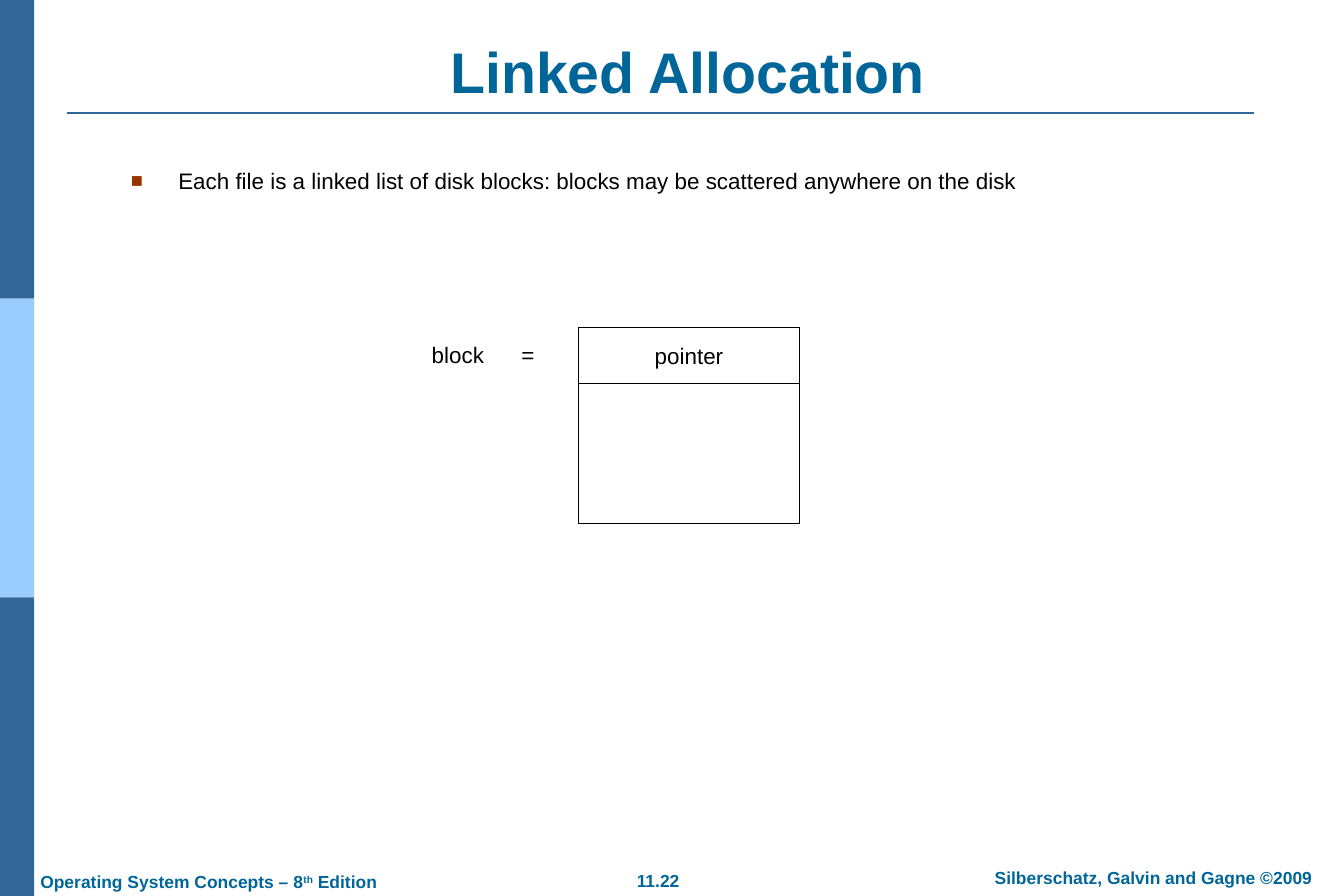
from lxml.etree import SubElement
from pptx import Presentation
from pptx.dml.color import RGBColor
from pptx.enum.shapes import MSO_CONNECTOR, MSO_SHAPE
from pptx.enum.text import MSO_ANCHOR, MSO_AUTO_SIZE, PP_ALIGN
from pptx.oxml.ns import qn
from pptx.util import Inches, Pt

COLORS = {"navy": "336699", "sky": "99CCFF", "teal": "006699",
          "rust": "993300", "black": "000000", "white": "FFFFFF"}
COLS, ROWS = 15, 10
LEFT, MID = PP_ALIGN.LEFT, PP_ALIGN.CENTER


class Board:
    """Draws styled parts on one slide, placed on a grid of columns and rows."""

    def __init__(self, deck, font="Arial"):
        self.font = font
        self.col = deck.slide_width / COLS
        self.row = deck.slide_height / ROWS
        self.slide = deck.slides.add_slide(deck.slide_layouts[5])
        self.shapes = self.slide.shapes

    def box(self, x, y, w, h):
        return (round(x * self.col), round(y * self.row),
                round(w * self.col), round(h * self.row))

    def tint(self, name):
        return RGBColor.from_string(COLORS[name])

    def label(self, shape, runs, size, color="black", bold=False, align=LEFT,
              anchor=MSO_ANCHOR.TOP, inset=(0.14, 0.07), wrap=True):
        frame = shape.text_frame
        frame.auto_size = MSO_AUTO_SIZE.NONE
        frame.word_wrap = wrap
        frame.vertical_anchor = anchor
        frame.margin_left = frame.margin_right = Inches(inset[0])
        frame.margin_top = frame.margin_bottom = Inches(inset[1])
        para = frame.paragraphs[0]
        para.alignment = align
        for text, lift in runs:
            run = para.add_run()
            run.text = text
            font = run.font
            font.name, font.size, font.bold = self.font, Pt(size), bold
            font.color.rgb = self.tint(color)
            if lift:
                font._element.set("baseline", str(lift * 1000))
        return para

    def title(self, text, place):
        shape = self.shapes.title
        shape.left, shape.top, shape.width, shape.height = self.box(*place)
        self.label(shape, [(text, 0)], 46, "teal", True, MID, MSO_ANCHOR.BOTTOM)

    def rect(self, place, fill, line=None):
        shape = self.shapes.add_shape(MSO_SHAPE.RECTANGLE, *self.box(*place))
        shape.shadow.inherit = False
        shape.fill.solid()
        shape.fill.fore_color.rgb = self.tint(fill)
        if line:
            shape.line.color.rgb = self.tint(line)
            shape.line.width = Pt(0.75)
        else:
            shape.line.fill.background()
        return shape

    def rule(self, x, y, w, color, width):
        left, top, span, _ = self.box(x, y, w, 0)
        line = self.shapes.add_connector(
            MSO_CONNECTOR.STRAIGHT, left, top, left + span, top)
        line.line.color.rgb = self.tint(color)
        line.line.width = Pt(width)
        SubElement(line._element.spPr, qn("a:effectLst"))

    def text(self, place, runs, size, **style):
        shape = self.shapes.add_textbox(*self.box(*place))
        return self.label(shape, runs, size, **style)

    def bullet(self, place, text, indent):
        para = self.text(place, [(text, 0)], 18)
        props = para._p.get_or_add_pPr()
        props.set("marL", str(Inches(indent)))
        props.set("indent", str(-Inches(indent)))
        color = SubElement(props, qn("a:buClr"))
        SubElement(color, qn("a:srgbClr"), val=COLORS["rust"])
        SubElement(props, qn("a:buSzPct"), val="90000")
        SubElement(props, qn("a:buFont"), typeface=self.font)
        SubElement(props, qn("a:buChar"), char="■")

    def tabbed(self, place, words, stop):
        para = self.text(place, [("\t".join(words), 0)], 18,
                         anchor=MSO_ANCHOR.MIDDLE, inset=(0.1, 0.05))
        tabs = SubElement(para._p.get_or_add_pPr(), qn("a:tabLst"))
        SubElement(tabs, qn("a:tab"), pos=str(Inches(stop)), algn="l")


def main():
    deck = Presentation()
    deck.slide_width, deck.slide_height = Inches(15), Inches(10)
    board = Board(deck)

    band = ROWS / 3
    for i, fill in enumerate(("navy", "sky", "navy")):
        board.rect((0, i * band, 0.38, band), fill)
    board.rule(0.75, 1.26, 13.25, "navy", 1.5)

    foot = {"size": 14, "color": "teal", "bold": True}
    board.text((0.31, 9.65, 4.13, 0.38),
               [("Operating System Concepts – 8", 0), ("th", 30), (" Edition", 0)],
               **foot)
    board.text((6.95, 9.64, 0.79, 0.38), [("11.22", 0)],
               align=MID, wrap=False, **foot)
    board.text((10.65, 9.61, 4.45, 0.38),
               [("Silberschatz, Galvin and Gagne ©2009", 0)], align=MID, **foot)

    board.title("Linked Allocation", (1.1, 0.4, 13.15, 0.84))
    board.bullet((1.32, 1.8, 12.43, 1.09),
                 "Each file is a linked list of disk blocks: "
                 "blocks may be scattered anywhere on the disk", 0.53)

    left, top, width, head = 6.46, 3.65, 2.46, 0.63
    cell = board.rect((left, top, width, head), "white", "black")
    board.label(cell, [("pointer", 0)], 18, align=MID, anchor=MSO_ANCHOR.MIDDLE)
    board.rect((left, top + head, width, 1.56), "white", "black")
    board.tabbed((4.72, 3.76, 1.36, 0.4), ("block", "="), 1)

    deck.save("out.pptx")


if __name__ == "__main__":
    main()
